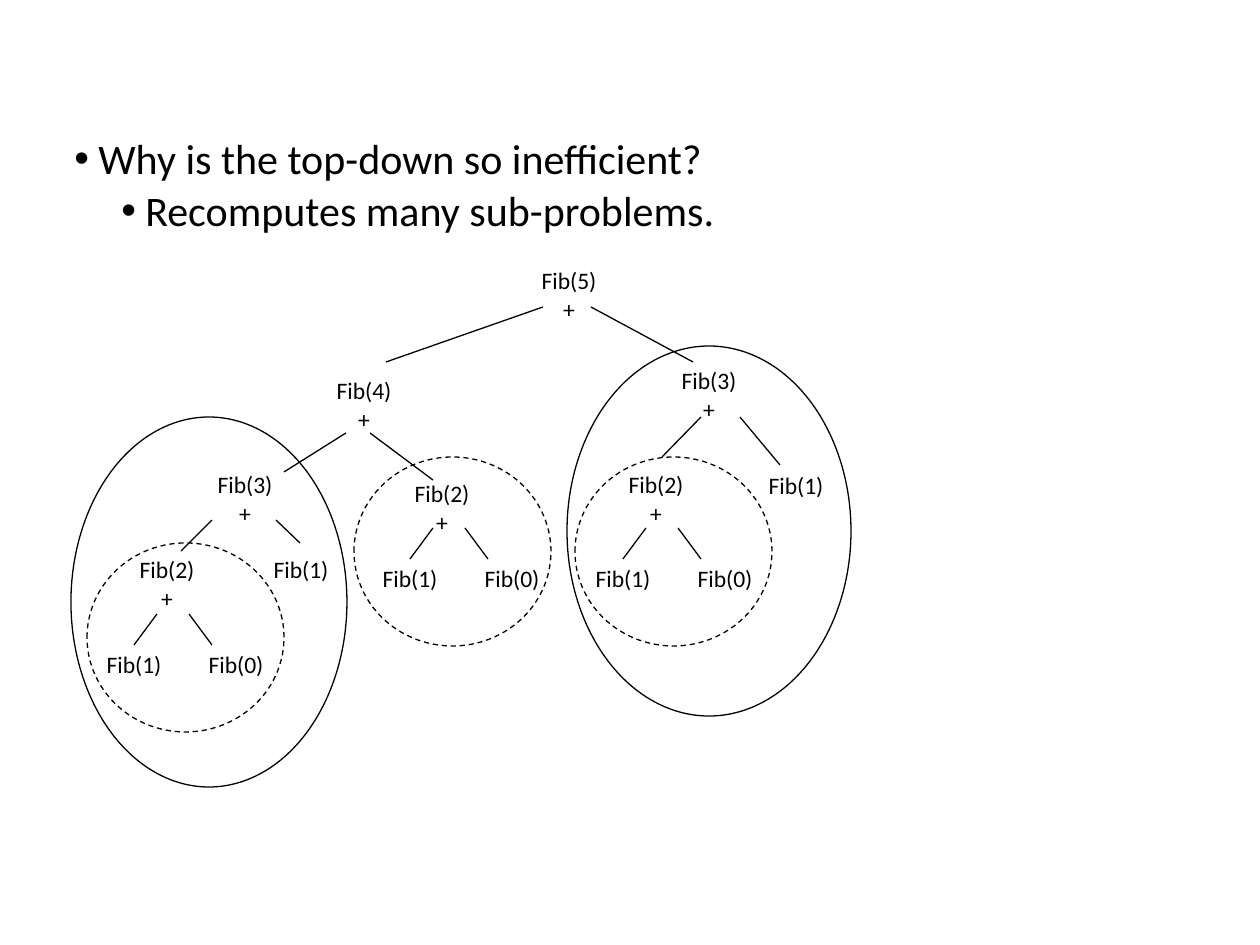
import pptx
import pptx.util
import pptx.dml.color
import pptx.enum.dml
import pptx.enum.shapes
import pptx.enum.text
import pptx.oxml.ns
import lxml.etree

COLORS = {"ink": "000000", "page": "FFFFFF"}
FONT = "Calibri"
PX = 914400 / 126

# Content: text, indent level
POINTS = [("Why is the top-down so inefficient?", 0),
          ("Recomputes many sub-problems.", 1)]

# Tree calls: argument, left, top, whether it adds two calls
CALLS = [(5, 528, 260, True), (4, 323, 370, True), (3, 668, 360, True),
         (3, 204, 464, True), (1, 755, 465, False), (1, 260, 549, False),
         (2, 126, 549, True), (2, 401, 473, True), (2, 615, 464, True)]
BRANCHES = [(543, 307, 386, 362), (591, 307, 693, 362),
            (346, 433, 284, 472), (370, 433, 433, 480),
            (701, 417, 662, 457), (740, 417, 780, 465),
            (212, 520, 181, 551), (276, 520, 300, 543)]

# Left leaf of each Fib(2) pair; right leaf and branches follow from it
PAIRS = [(93, 644), (369, 558), (582, 558)]
LEAVES = [(1, 0), (0, 102)]
TWIGS = [(64, 41), (96, 119)]

# Rings around repeated work: left, top, width, height, dashed
RINGS = [(x, y, 197, 189, True) for x, y in [(87, 543), (354, 457), (575, 457)]]
RINGS += [(71, 417, 276, 370, False), (567, 346, 284, 370, False)]


def emu(n):
    return pptx.util.Emu(round(n * PX))


def rgb(key):
    return pptx.dml.color.RGBColor.from_string(COLORS[key])


def style(font, size):
    font.name = FONT
    font.size = pptx.util.Pt(size)
    font.color.rgb = rgb("ink")


def stroke(line):
    line.color.rgb = rgb("ink")
    line.width = pptx.util.Pt(0.75)


def add_box(slide, x, y, w, h, wrap):
    frame = slide.shapes.add_textbox(*map(emu, (x, y, w, h))).text_frame
    frame.word_wrap = wrap
    frame.auto_size = pptx.enum.text.MSO_AUTO_SIZE.NONE
    return frame


def add_points(slide):
    frame = add_box(slide, 62, 132, 1086, 450, True)
    frame.text = "\n".join(text for text, level in POINTS)
    for para, (text, level) in zip(frame.paragraphs, POINTS):
        para.level = level
        para.line_spacing = 0.9
        if level:
            para.space_before = pptx.util.Pt(3.8)
        props = para._p.get_or_add_pPr()
        props.set("marL", str(emu(24 + 47 * level)))
        props.set("indent", str(-emu(24)))
        face = lxml.etree.SubElement(props, pptx.oxml.ns.qn("a:buFont"))
        face.set("typeface", "Arial")
        mark = lxml.etree.SubElement(props, pptx.oxml.ns.qn("a:buChar"))
        mark.set("char", "•")
        for run in para.runs:
            style(run.font, 24)


def add_call(slide, num, x, y, adds):
    frame = add_box(slide, x, y, 82, 70, False)
    frame.text = f"Fib({num})" + ("\v+" if adds else "")
    para = frame.paragraphs[0]
    para.alignment = pptx.enum.text.PP_ALIGN.CENTER
    for run in para.runs:
        style(run.font, 13.5)


def add_branch(slide, *ends):
    kind = pptx.enum.shapes.MSO_CONNECTOR.STRAIGHT
    link = slide.shapes.add_connector(kind, *map(emu, ends))
    stroke(link.line)
    lxml.etree.SubElement(link._element.spPr, pptx.oxml.ns.qn("a:effectLst"))


def add_ring(slide, x, y, w, h, dashed):
    kind = pptx.enum.shapes.MSO_SHAPE.OVAL
    ring = slide.shapes.add_shape(kind, *map(emu, (x, y, w, h)))
    ring.shadow.inherit = False
    ring.fill.background()
    stroke(ring.line)
    if dashed:
        ring.line.dash_style = pptx.enum.dml.MSO_LINE.DASH


def main():
    deck = pptx.Presentation()
    deck.slide_width, deck.slide_height = emu(1260), emu(945)
    slide = deck.slides.add_slide(deck.slide_layouts[6])
    slide.background.fill.solid()
    slide.background.fill.fore_color.rgb = rgb("page")

    add_points(slide)

    # Upper tree
    for call in CALLS:
        add_call(slide, *call)
    for ends in BRANCHES:
        add_branch(slide, *ends)

    # Leaf pairs
    for x, y in PAIRS:
        for num, dx in LEAVES:
            add_call(slide, num, x + dx, y, False)
        for top, foot in TWIGS:
            add_branch(slide, x + top, y - 30, x + foot, y + 1)

    # Repeated sub-problems
    for ring in RINGS:
        add_ring(slide, *ring)

    deck.save("out.pptx")


if __name__ == "__main__":
    main()
